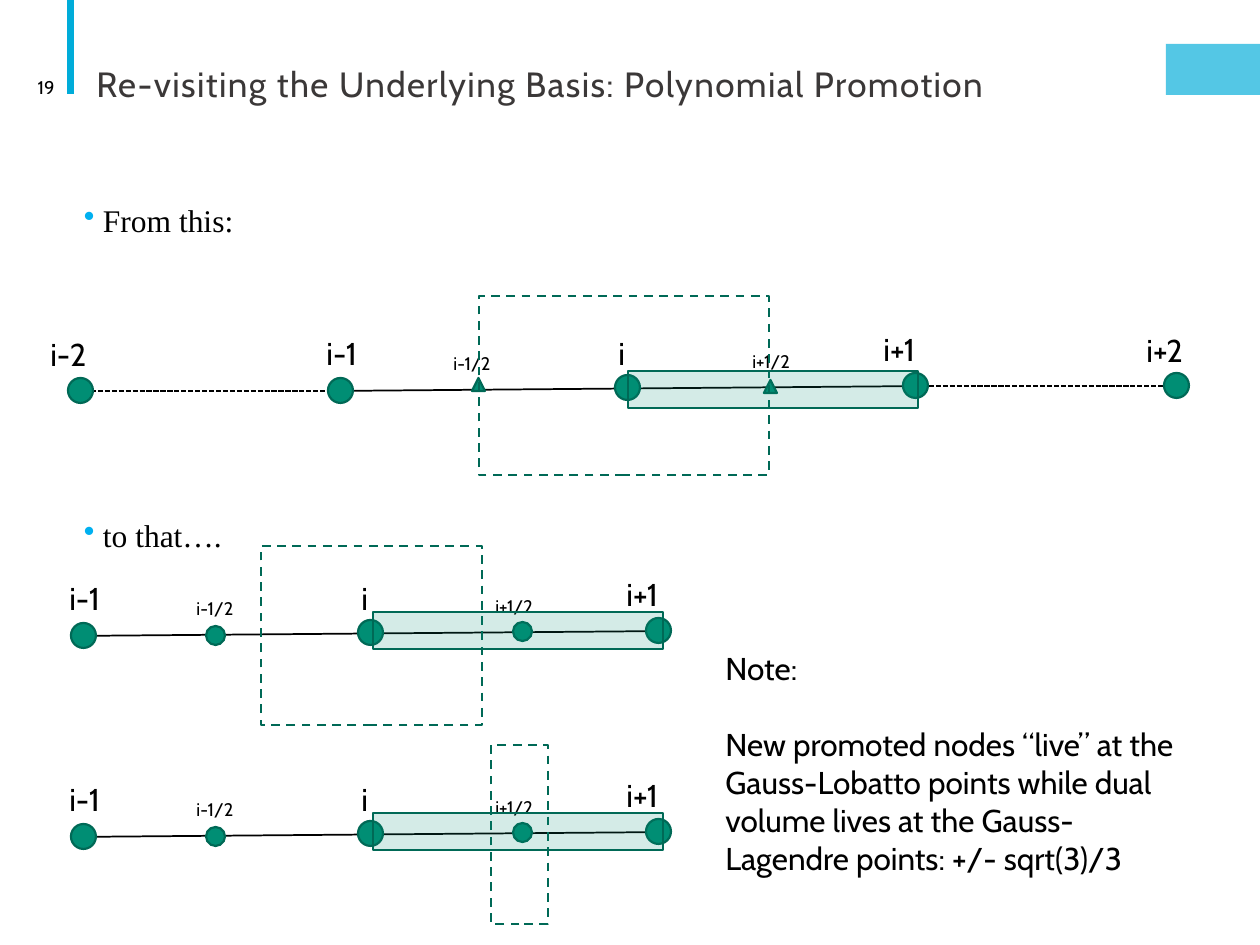
from pptx import Presentation
from pptx.dml.color import RGBColor
from pptx.enum.dml import MSO_LINE_DASH_STYLE as Dash
from pptx.enum.shapes import MSO_CONNECTOR, MSO_SHAPE as Shape
from pptx.enum.text import MSO_ANCHOR as Anchor, MSO_AUTO_SIZE as Fit, PP_ALIGN as Align
from pptx.util import Pt
from pptx.oxml.ns import qn
from lxml.etree import SubElement

# Content, lengths in px
TITLE = "Re-visiting the Underlying Basis: Polynomial Promotion"
NUMBER = "19"
STEPS = ["From this:", "to that…."]
NOTE = ["Note:", "New promoted nodes “live” at the Gauss-Lobatto points while dual "
        "volume lives at the Gauss-Lagendre points: +/- sqrt(3)/3"]

# Parts shared by all stencils, relative to the left end of the axis
AXIS = (600, -5)
NODES = [(0, -13), (575, -18), (287, -16)]
LABELS = [("i-1", -14, -63, 63), ("i", 278, -63, 34), ("i+1", 543, -67, 68)]
HALF_LABELS = [("i+1/2", 412, -68, 76), ("i-1/2", 113, -66, 72)]

# Midpoint markers: shape, size, places, cell offset
TRIANGLES = (Shape.ISOSCELES_TRIANGLE, 13, [(436, -11), (144, -13)], (300, -20))
DOTS = (Shape.OVAL, 19, [(442, -14), (135, -10)], (302, -24))

# Stencils: axis start, midpoints, dual volume (left, top, width)
STENCILS = [
    ((328, 391), TRIANGLES, (479, 296, 290)),
    ((71, 636), DOTS, (261, 546, 221)),
    ((71, 837), DOTS, (491, 745, 57)),
]
# Outer nodes: label, label place, label width, node place, dashed link
OUTER = [
    ("i-2", (38, 329), 63, (68, 378), (84, 391)),
    ("i+2", (1134, 325), 68, (1164, 373), (915, 386)),
]
NODE, LINK, DUAL_H, CELL = 25, 252, 179, (290, 37)

THEME = dict(
    font="Cabin", serif="Times New Roman", black="000000", title="3B3838",
    accent="00ACD9", bullet="00B0F0", node="008E74", edge="006956",
    title_size=20, text_size=18, number_size=10.5,
)
SCALE = 914400 / 126


def px(*values):
    return [round(v * SCALE) for v in values]


def rgb(name):
    return RGBColor.from_string(THEME[name])


def add_text(shapes, box, lines, size="text_size", color="black", font="font", wrap=True):
    tf = shapes.add_textbox(*px(*box)).text_frame
    tf.word_wrap = wrap
    tf.text = "\n".join(lines)
    for p in tf.paragraphs:
        for r in p.runs:
            r.font.name, r.font.size = THEME[font], Pt(THEME[size])
            r.font.color.rgb = rgb(color)
    return tf


def add_label(shapes, text, x, y, w, half=False):
    tf = add_text(shapes, (x, y, w, 38 if half else 50), [text], wrap=False)
    tf.auto_size = Fit.SHAPE_TO_FIT_TEXT
    if half:
        tf.paragraphs[0].runs[0].font._element.set("baseline", "-25000")


def add_shape(shapes, kind, box, fill=None, alpha=None, edge="edge", dash=None):
    sp = shapes.add_shape(kind, *px(*box))
    sp.shadow.inherit = False
    if fill:
        sp.fill.solid()
        sp.fill.fore_color.rgb = rgb(fill)
    else:
        sp.fill.background()
    if alpha:
        color = sp._element.spPr.find(qn("a:solidFill"))[0]
        SubElement(color, qn("a:alpha")).set("val", str(alpha * 1000))
    if edge:
        sp.line.color.rgb = rgb(edge)
        sp.line.width = Pt(1.25)
        sp.line.dash_style = dash
    else:
        sp.line.fill.background()


def add_line(shapes, x, y, dx, dy, dash=None):
    line = shapes.add_connector(MSO_CONNECTOR.STRAIGHT, *px(x, y, x + dx, y + dy))
    line.line.color.rgb = rgb("black")
    line.line.width = Pt(1)
    line.line.dash_style = dash
    SubElement(line._element.spPr, qn("a:effectLst"))


def add_stencil(shapes, start, midpoints, dual):
    x, y = start
    kind, size, places, (cell_x, cell_y) = midpoints
    add_line(shapes, x, y, *AXIS)
    for dx, dy in NODES:
        add_shape(shapes, Shape.OVAL, (x + dx, y + dy, NODE, NODE), "node")
    for labels, half in ((LABELS, False), (HALF_LABELS, True)):
        for text, dx, dy, w in labels:
            add_label(shapes, text, x + dx, y + dy, w, half)
    for dx, dy in places:
        add_shape(shapes, kind, (x + dx, y + dy, size, size), "node")
    add_shape(shapes, Shape.RECTANGLE, (*dual, DUAL_H), dash=Dash.DASH)
    add_shape(shapes, Shape.RECTANGLE, (x + cell_x, y + cell_y, *CELL), "node", alpha=17)


prs = Presentation()
prs.slide_width, prs.slide_height = px(1260, 945)
s = prs.slides.add_slide(prs.slide_layouts[6])

# Accent bars
add_shape(s.shapes, Shape.RECTANGLE, (67, 0, 7, 94), "accent", edge=None)
add_shape(s.shapes, Shape.RECTANGLE, (1166, 44, 94, 51), "accent", alpha=67, edge=None)

# Bulleted steps
tf = add_text(s.shapes, (84, 199, 1040, 746), STEPS, font="serif")
tf.margin_left = tf.margin_right = 0
for p in tf.paragraphs:
    p.line_spacing, p.space_after = 0.9, Pt(1.5)
    pPr = p._p.get_or_add_pPr()
    indent = px(19)[0]
    pPr.set("marL", str(indent))
    pPr.set("indent", str(-indent))
    color = SubElement(pPr, qn("a:buClr"))
    SubElement(color, qn("a:srgbClr")).set("val", THEME["bullet"])
    SubElement(pPr, qn("a:buChar")).set("char", "•")
tf.paragraphs[1].space_before = Pt(159)

# Title and slide number
tf = add_text(s.shapes, (84, 33, 1040, 78), [TITLE], "title_size", "title")
tf.vertical_anchor = Anchor.BOTTOM
tf.paragraphs[0].line_spacing = 0.85
tf.paragraphs[0].runs[0].font._element.set("spc", "80")
tf = add_text(s.shapes, (6, 62, 61, 50), [NUMBER], "number_size")
tf.vertical_anchor = Anchor.MIDDLE
tf.paragraphs[0].alignment = Align.RIGHT

# Outer nodes with dashed links
for text, label, w, node, link in OUTER:
    add_line(s.shapes, *link, LINK, 0, Dash.SQUARE_DOT)
    add_shape(s.shapes, Shape.OVAL, (*node, NODE, NODE), "node")
    add_label(s.shapes, text, *label, w)

# Stencils
for stencil in STENCILS:
    add_stencil(s.shapes.add_group_shape().shapes, *stencil)

# Note
tf = add_text(s.shapes, (713, 643, 476, 280), NOTE)
tf.paragraphs[1].space_before = Pt(21.9)

prs.save("out.pptx")
